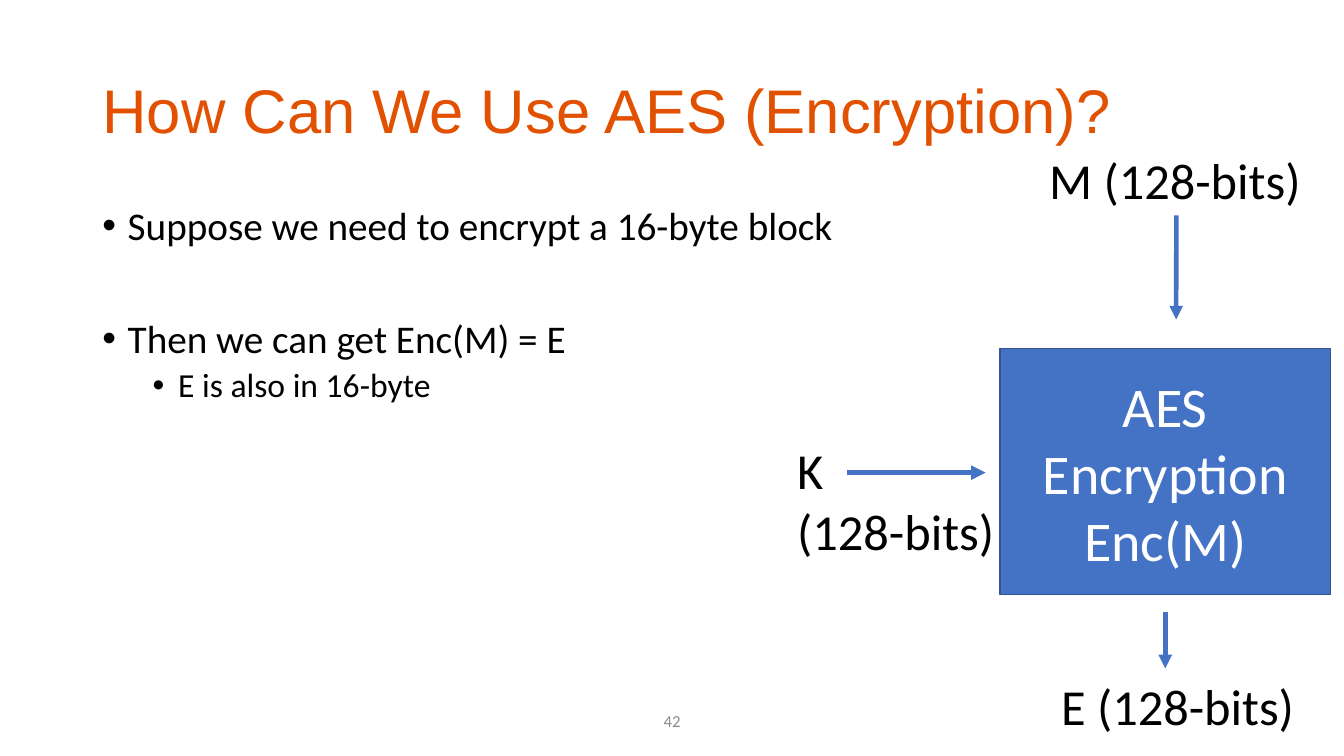
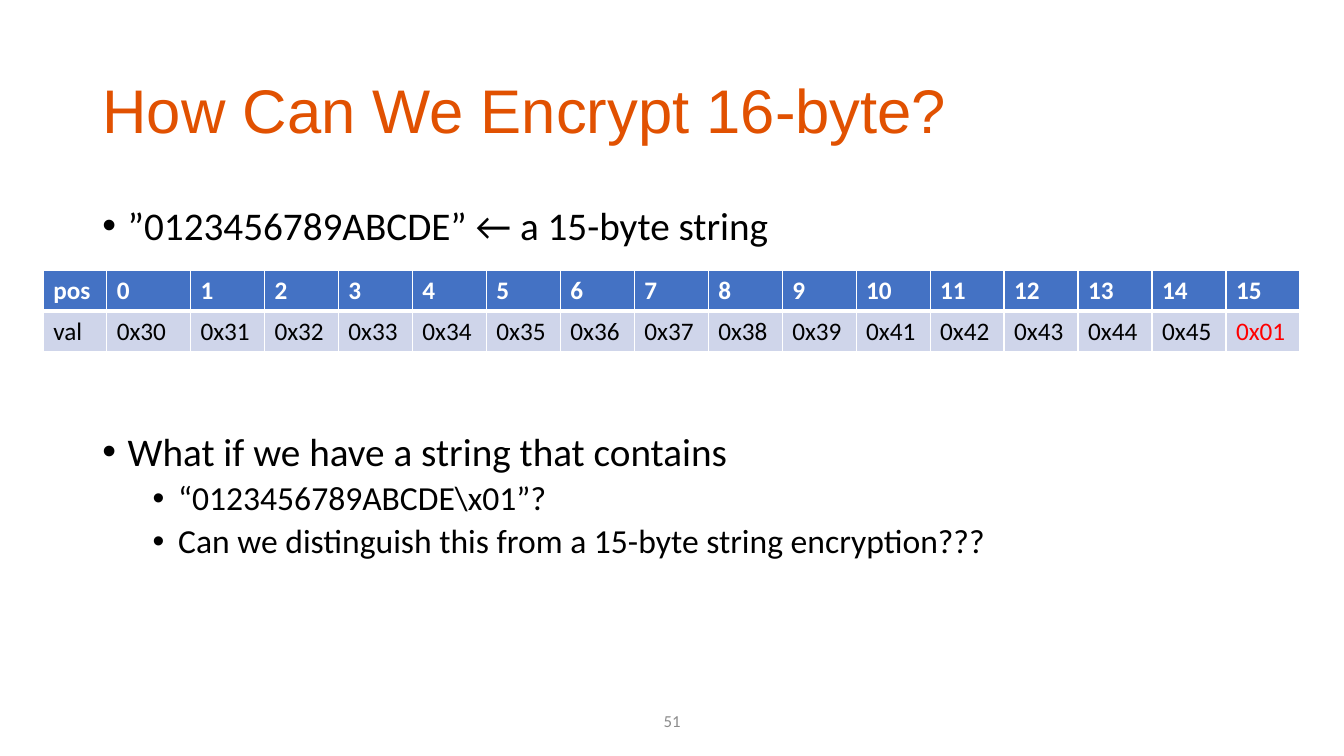
from lxml import etree
from pptx import Presentation
from pptx.dml.color import RGBColor
from pptx.enum.shapes import MSO_CONNECTOR, MSO_SHAPE
from pptx.enum.text import MSO_ANCHOR, MSO_AUTO_SIZE, PP_ALIGN
from pptx.oxml.ns import qn
from pptx.util import Cm, Pt

RECTANGLE = MSO_SHAPE.RECTANGLE
STRAIGHT = MSO_CONNECTOR.STRAIGHT
MIDDLE = MSO_ANCHOR.MIDDLE
TOP = MSO_ANCHOR.TOP
CENTER = PP_ALIGN.CENTER
FIT_SHAPE = MSO_AUTO_SIZE.SHAPE_TO_FIT_TEXT
BOTTOM_SIDE = 2

COLORS = {
    "title": "E15101",
    "text": "000000",
    "number": "8C8C8C",
    "accent": "4472C4",
    "outline": "325491",
    "light": "FFFFFF",
    "band": "CFD5EA",
    "padding": "FF0000",
}
BULLET_SIZES = (28, 24)
BULLET_GAPS = (10, 5)


def rgb(name):
    """Return the named colour."""
    return RGBColor.from_string(COLORS[name])


def write(frame, text, size=18, color="text", font="Calibri", bold=False,
          align=None, line_spacing=None, before=None):
    """Add each line of text as a paragraph and return the last one."""
    for line in text.split("\n"):
        paragraph = frame.paragraphs[0]
        if paragraph.runs:
            paragraph = frame.add_paragraph()
        paragraph.alignment = align
        paragraph.line_spacing = line_spacing
        if before is not None:
            paragraph.space_before = Pt(before)
        run = paragraph.add_run()
        run.text = line
        run.font.size = Pt(size)
        run.font.name = font
        run.font.bold = bold
        run.font.color.rgb = rgb(color)
    return paragraph


def add_frame(slide, left, top, width, height, anchor=TOP):
    """Add a wrapping text area given in centimetres."""
    area = slide.shapes.add_textbox(Cm(left), Cm(top), Cm(width), Cm(height))
    area.text_frame.word_wrap = True
    area.text_frame.vertical_anchor = anchor
    return area.text_frame


def add_bullet(frame, text, level=0, gap=None):
    """Add a bulleted paragraph at the given level."""
    before = BULLET_GAPS[level] if gap is None else gap
    paragraph = write(frame, text, size=BULLET_SIZES[level],
                      line_spacing=0.9, before=before)
    paragraph.level = level
    properties = paragraph._p.get_or_add_pPr()
    properties.set("marL", str(Cm(0.64 + 1.27 * level)))
    properties.set("indent", str(-Cm(0.64)))
    etree.SubElement(properties, qn("a:buFont"), typeface="Arial")
    etree.SubElement(properties, qn("a:buChar"), char="•")


def add_content_slide(deck, title, number, bullets):
    """Add a slide with its title, bullets and slide number."""
    slide = deck.slides.add_slide(deck.slide_layouts[6])
    heading = add_frame(slide, 2.33, 1.02, 29.21, 3.68, MIDDLE)
    write(heading, title, size=44, color="title", font="Arial", line_spacing=0.9)
    body = add_frame(slide, 2.33, 5.08, 29.21, 12.09)
    for bullet in bullets:
        add_bullet(body, **bullet)
    footer = add_frame(slide, 13.13, 17.65, 7.62, 1.02, MIDDLE)
    write(footer, number, size=12, color="number", align=CENTER)
    return slide


def add_arrow(slide, start, end, width=3.25):
    """Add an arrow between two points in centimetres."""
    arrow = slide.shapes.add_connector(
        STRAIGHT, Cm(start[0]), Cm(start[1]), Cm(end[0]), Cm(end[1]))
    arrow.line.color.rgb = rgb("accent")
    arrow.line.width = Pt(width)
    properties = arrow.element.spPr
    etree.SubElement(properties.find(qn("a:ln")), qn("a:tailEnd"), type="triangle")
    etree.SubElement(properties, qn("a:effectLst"))
    return arrow


def add_label(slide, text, left, top, width, height):
    """Add a large unwrapped label that fits its text."""
    label = slide.shapes.add_textbox(Cm(left), Cm(top), Cm(width), Cm(height))
    label.text_frame.word_wrap = False
    label.text_frame.auto_size = FIT_SHAPE
    write(label.text_frame, text, size=36)
    return label


def add_cipher_diagram(slide, left, top):
    """Draw the cipher with its message, key and output."""
    cipher_left, cipher_top = left + 5.36, top + 5.16
    cipher_width, cipher_height = 8.33, 6.2
    center = cipher_left + cipher_width / 2

    cipher = slide.shapes.add_shape(
        RECTANGLE, Cm(cipher_left), Cm(cipher_top), Cm(cipher_width), Cm(cipher_height))
    cipher.shadow.inherit = False
    cipher.fill.solid()
    cipher.fill.fore_color.rgb = rgb("accent")
    cipher.line.color.rgb = rgb("outline")
    cipher.line.width = Pt(1)
    cipher.text_frame.vertical_anchor = MIDDLE
    write(cipher.text_frame, "AES\nEncryption\nEnc(M)",
          size=40, color="light", align=CENTER)

    add_label(slide, "K\n(128-bits)", left, top + 7.32, 5.54, 3.33)
    message = add_label(slide, "M (128-bits)", left + 6.35, top, 6.91, 1.8)
    add_label(slide, "E (128-bits)", left + 6.65, top + 13.26, 6.45, 1.8)

    key_level = top + 8.28
    add_arrow(slide, (left + 1.5, key_level), (left + 5, key_level), 3.5)
    message_center = left + 9.8
    message_arrow = add_arrow(
        slide, (message_center, top + 1.8), (message_center, top + 4.42))
    message_arrow.begin_connect(message, BOTTOM_SIDE)
    add_arrow(slide, (center, top + 11.79), (center, top + 13.21))


def style_cell(cell, fill, borders):
    """Give a cell its fill and white borders, keyed by side."""
    properties = cell._tc.get_or_add_tcPr()
    for side, width in borders.items():
        border = etree.SubElement(properties, qn(f"a:ln{side}"), w=str(Pt(width)))
        solid = etree.SubElement(border, qn("a:solidFill"))
        etree.SubElement(solid, qn("a:srgbClr"), val=COLORS["light"])
    cell.fill.solid()
    cell.fill.fore_color.rgb = rgb(fill)


def add_byte_table(slide, left, top, width, height, data):
    """Draw byte positions over values, with the last value as padding."""
    positions = ["pos", *map(str, range(len(data)))]
    values = ["val", *(f"0x{ord(character):02x}" for character in data)]
    table = slide.shapes.add_table(
        2, len(positions), Cm(left), Cm(top), Cm(width), Cm(height)).table
    first_widths = [1.6, 2.11]
    rest = len(positions) - len(first_widths)
    widths = first_widths + [(width - sum(first_widths)) / rest] * rest
    for column, column_width in zip(table.columns, widths):
        column.width = Cm(column_width)
    for row in table.rows:
        row.height = Cm(height / 2)

    for index, (position, value) in enumerate(zip(positions, values)):
        header, content = table.cell(0, index), table.cell(1, index)
        style_cell(header, "accent", {"L": 1, "R": 1, "T": 1, "B": 3})
        write(header.text_frame, position, color="light", bold=True)
        style_cell(content, "band", {"L": 1, "R": 1, "T": 3, "B": 1})
        is_padding = index == len(data)
        write(content.text_frame, value, color="padding" if is_padding else "text")


def build_encryption_slide(deck):
    """Build the slide on encrypting one block."""
    slide = add_content_slide(deck, "How Can We Use AES (Encryption)?", "42", [
        {"text": "Suppose we need to encrypt a 16-byte block"},
        {"text": "Then we can get Enc(M) = E", "gap": 50.35},
        {"text": "E is also in 16-byte", "level": 1},
    ])
    add_cipher_diagram(slide, 19.84, 3.63)


def build_padding_slide(deck):
    """Build the slide on padding a short string."""
    slide = add_content_slide(deck, "How Can We Encrypt 16-byte?", "51", [
        {"text": "”0123456789ABCDE” ← a 15-byte string"},
        {"text": "What if we have a string that contains", "gap": 131},
        {"text": "“0123456789ABCDE\\x01”?", "level": 1},
        {"text": "Can we distinguish this from a 15-byte string encryption???",
         "level": 1},
    ])
    add_byte_table(slide, 1.09, 6.81, 31.67, 2.06, "0123456789ABCDE" + chr(1))


def main():
    """Build and save the presentation."""
    deck = Presentation()
    deck.slide_width, deck.slide_height = Cm(33.87), Cm(19.05)
    build_encryption_slide(deck)
    build_padding_slide(deck)
    deck.save("out.pptx")


if __name__ == "__main__":
    main()
